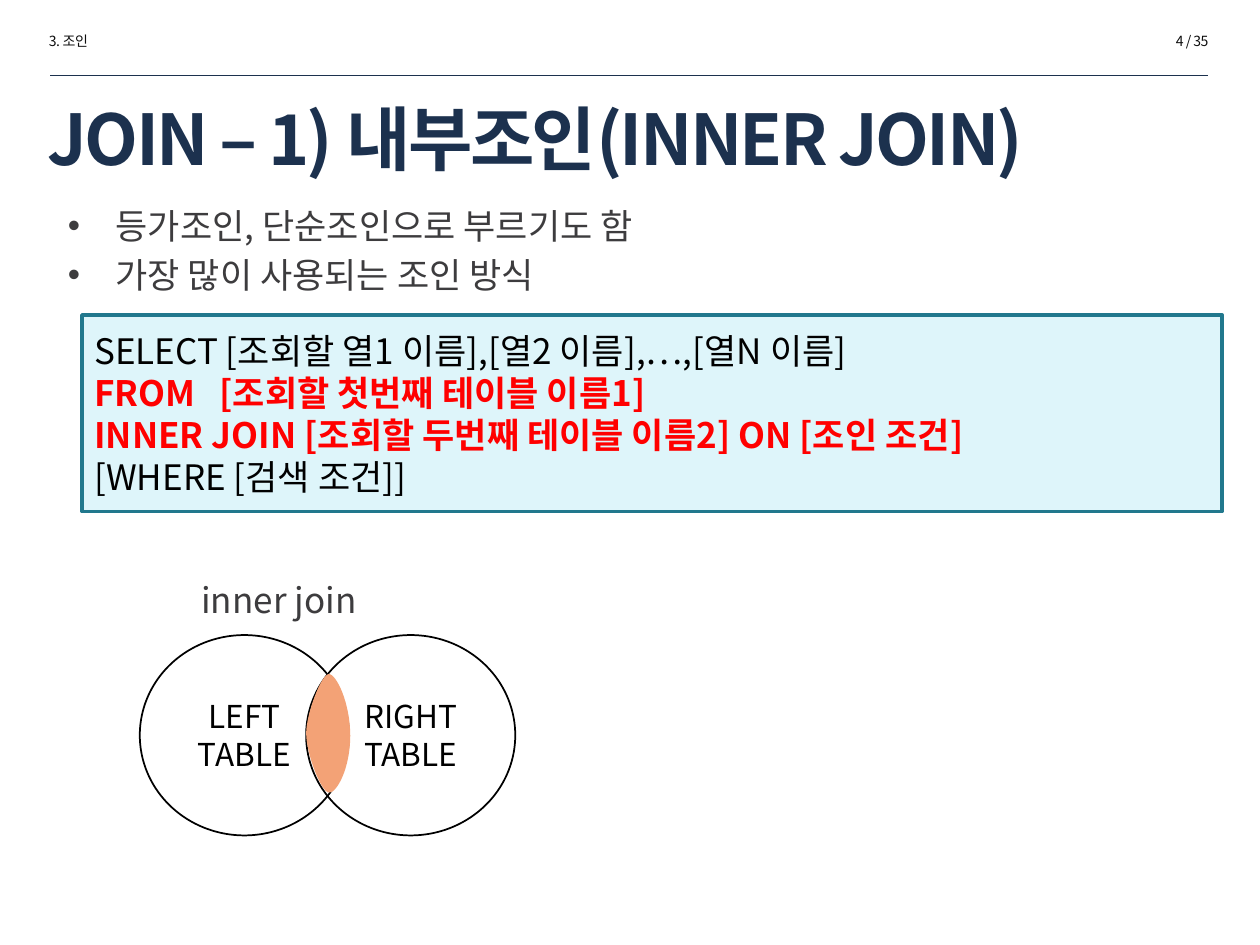
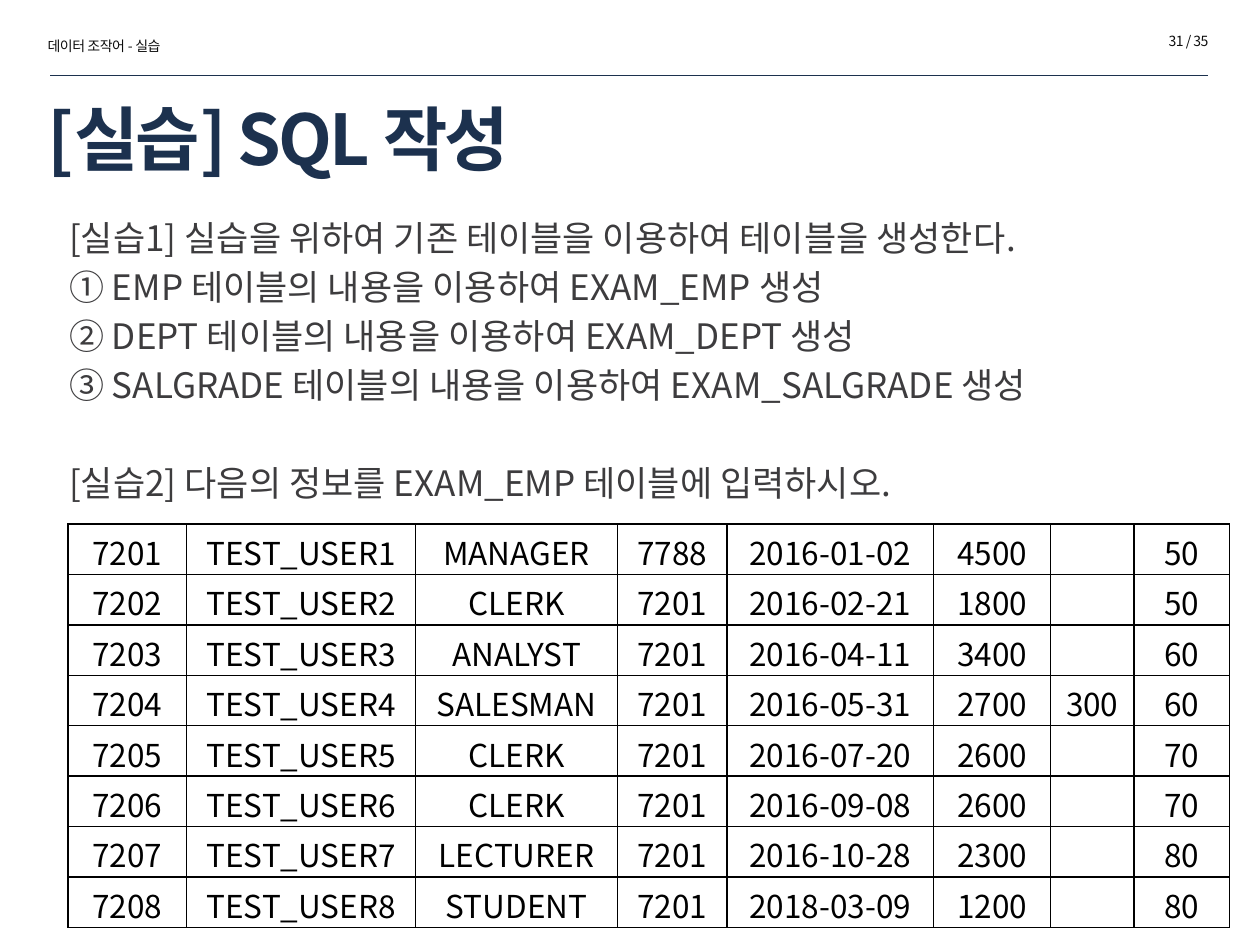
from lxml import etree
from pptx import Presentation
from pptx.dml.color import RGBColor
from pptx.enum.shapes import MSO_CONNECTOR, MSO_SHAPE
from pptx.enum.text import MSO_ANCHOR, PP_ALIGN
from pptx.oxml.ns import qn
from pptx.util import Pt

NAVY = RGBColor(0x1C, 0x31, 0x4E)
INK = RGBColor(0x0D, 0x0D, 0x0D)
GRAY = RGBColor(0x3D, 0x3C, 0x3E)
BLACK = RGBColor(0, 0, 0)
RED = RGBColor(0xFF, 0, 0)
TEAL = RGBColor(0x21, 0x78, 0x8D)
PALE_BLUE = RGBColor(0xDE, 0xF5, 0xFA)
ORANGE = RGBColor(0xF3, 0xA2, 0x76)

LEFT, CENTER, RIGHT = PP_ALIGN.LEFT, PP_ALIGN.CENTER, PP_ALIGN.RIGHT
TOP, MIDDLE, BOTTOM = MSO_ANCHOR.TOP, MSO_ANCHOR.MIDDLE, MSO_ANCHOR.BOTTOM
RECTANGLE, OVAL = MSO_SHAPE.RECTANGLE, MSO_SHAPE.OVAL
STRAIGHT = MSO_CONNECTOR.STRAIGHT

FONT = "Noto Sans CJK KR"
TITLE = {"size": Pt(40), "bold": True, "color": NAVY, "spacing": -150}
HEADER = {"size": Pt(8), "color": INK, "spacing": -30}
BODY = {"size": Pt(20), "color": GRAY}
CODE = {"size": Pt(20), "color": BLACK}
CODE_KEY = {"size": Pt(20), "color": RED, "bold": True}
LABEL = {"size": Pt(18), "color": BLACK}

LINE_RATIO = 1.2
BODY_GAP = 4
BLANK_LINE = 28
INDENT = 27.36

COLUMN_WIDTHS = [67.68, 131.04, 115.2, 62.64, 118.08, 66.96, 47.52, 54.72]
ROW_HEIGHT = 28.8
EMPLOYEES = [
    ["7201", "TEST_USER1", "MANAGER", "7788", "2016-01-02", "4500", "", "50"],
    ["7202", "TEST_USER2", "CLERK", "7201", "2016-02-21", "1800", "", "50"],
    ["7203", "TEST_USER3", "ANALYST", "7201", "2016-04-11", "3400", "", "60"],
    ["7204", "TEST_USER4", "SALESMAN", "7201", "2016-05-31", "2700", "300", "60"],
    ["7205", "TEST_USER5", "CLERK", "7201", "2016-07-20", "2600", "", "70"],
    ["7206", "TEST_USER6", "CLERK", "7201", "2016-09-08", "2600", "", "70"],
    ["7207", "TEST_USER7", "LECTURER", "7201", "2016-10-28", "2300", "", "80"],
    ["7208", "TEST_USER8", "STUDENT", "7201", "2018-03-09", "1200", "", "80"],
]

# Overlap outline: start point, then two control points and an end point per curve
LENS_START = (0, 33.84)
LENS_CURVES = [
    ((0, 23.04), (8.64, 0), (12.96, 0)),
    ((17.28, 0), (25.2, 16.56), (25.2, 35.28)),
    ((25.2, 54), (17.28, 68.4), (12.96, 67.68)),
    ((8.64, 67.68), (0, 45.36), LENS_START),
]


def points(*lengths):
    return [Pt(length) for length in lengths]


def format_run(run, style):
    font = run.font
    font.name = FONT
    for name, value in style.items():
        if name == "color":
            font.color.rgb = value
        elif name == "spacing":
            run._r.get_or_add_rPr().set("spc", str(value))
        else:
            setattr(font, name, value)
    east_asian = etree.SubElement(run._r.get_or_add_rPr(), qn("a:ea"))
    east_asian.set("typeface", FONT)


def write(frame, lines, anchor=TOP, align=LEFT, gap=0, fixed=True):
    """Fill a text frame with (text, style) lines, one paragraph each."""
    frame.word_wrap = True
    frame.vertical_anchor = anchor
    for index, (text, style) in enumerate(lines):
        paragraph = frame.add_paragraph() if index else frame.paragraphs[0]
        paragraph.alignment = align
        paragraph.space_before = Pt(gap if index else 0)
        if fixed:
            paragraph.line_spacing = Pt(style["size"].pt * LINE_RATIO)
        run = paragraph.add_run()
        run.text = text
        format_run(run, style)


def add_text(slide, box, lines, **options):
    shape = slide.shapes.add_textbox(*points(*box))
    write(shape.text_frame, lines, **options)
    return shape


def add_shape(slide, kind, box, line_color, line_width, fill=None):
    shape = slide.shapes.add_shape(kind, *points(*box))
    shape.shadow.inherit = False
    if fill is None:
        shape.fill.background()
    else:
        shape.fill.solid()
        shape.fill.fore_color.rgb = fill
    shape.line.color.rgb = line_color
    shape.line.width = Pt(line_width)
    return shape


def add_bullets(frame):
    for paragraph in frame.paragraphs:
        properties = paragraph._p.get_or_add_pPr()
        properties.set("marL", str(Pt(INDENT)))
        properties.set("indent", str(-Pt(INDENT)))
        etree.SubElement(properties, qn("a:buFont")).set("typeface", "Arial")
        etree.SubElement(properties, qn("a:buChar")).set("char", "•")


def add_page(presentation, title, title_width, section, section_box, page):
    """Title-only slide with its section label, page number and rule."""
    slide = presentation.slides.add_slide(presentation.slide_layouts[5])
    rule = slide.shapes.add_connector(STRAIGHT, *points(28.8, 43.2, 690.48, 43.2))
    rule.line.color.rgb = NAVY
    rule.line.width = Pt(0.25)
    etree.SubElement(rule._element.spPr, qn("a:effectLst"))

    heading = slide.shapes.title
    box = {"left": 20.16, "top": 55.44, "width": title_width, "height": 46.08}
    for name, value in box.items():
        setattr(heading, name, Pt(value))
    write(heading.text_frame, [(title, TITLE)], anchor=MIDDLE, fixed=False)

    add_text(slide, (573.12, 15.12, 124.56, 17.28), [(page, HEADER)], align=RIGHT, fixed=False)
    add_text(slide, section_box, [(section, HEADER)], fixed=False)
    return slide


def add_syntax(slide, box):
    panel = add_shape(slide, RECTANGLE, box, TEAL, 2, PALE_BLUE)
    write(panel.text_frame, [
        ("SELECT [조회할 열1 이름],[열2 이름],…,[열N 이름]", CODE),
        ("FROM   [조회할 첫번째 테이블 이름1]", CODE_KEY),
        ("INNER JOIN [조회할 두번째 테이블 이름2] ON [조인 조건]", CODE_KEY),
        ("[WHERE [검색 조건]]", CODE),
    ], anchor=MIDDLE)


def curve_point(start, first, second, end, t):
    weights = ((1 - t) ** 3, 3 * t * (1 - t) ** 2, 3 * t * t * (1 - t), t ** 3)
    corners = (start, first, second, end)
    return tuple(sum(w * corner[axis] for w, corner in zip(weights, corners)) for axis in (0, 1))


def add_lens(slide, left, top, steps=16):
    outline, start = [], LENS_START
    for first, second, end in LENS_CURVES:
        outline += [curve_point(start, first, second, end, i / steps) for i in range(1, steps + 1)]
        start = end
    placed = [(Pt(left + x), Pt(top + y)) for x, y in outline]
    builder = slide.shapes.build_freeform(*placed[-1])
    builder.add_line_segments(placed, close=True)
    lens = builder.convert_to_shape()
    lens.shadow.inherit = False
    lens.fill.solid()
    lens.fill.fore_color.rgb = ORANGE
    lens.line.fill.background()


def add_venn(slide, left, top):
    """Two overlapping tables with a caption above."""
    step, circle_top = 95.04, top + 36
    for index, side in enumerate(("LEFT", "RIGHT")):
        box = (left + index * step, circle_top, 119.52, 114.48)
        circle = add_shape(slide, OVAL, box, BLACK, 1)
        write(circle.text_frame, [(side, LABEL), ("TABLE", LABEL)], anchor=MIDDLE, align=CENTER)
    add_lens(slide, left + step, circle_top + 22.32)
    add_text(slide, (left + 28.08, top, 146.16, 29.52), [("inner join", BODY)])


def add_borders(cell):
    properties = cell._tc.get_or_add_tcPr()
    for index, side in enumerate(("lnL", "lnR", "lnT", "lnB")):
        border = etree.Element(qn("a:" + side), w=str(Pt(1)))
        fill = etree.SubElement(border, qn("a:solidFill"))
        etree.SubElement(fill, qn("a:srgbClr")).set("val", str(BLACK))
        properties.insert(index, border)


def add_employee_table(slide, left, top):
    size = (sum(COLUMN_WIDTHS), ROW_HEIGHT * len(EMPLOYEES))
    frame = slide.shapes.add_table(
        len(EMPLOYEES), len(COLUMN_WIDTHS), *points(left, top, *size))
    table = frame.table
    table.first_row = table.horz_banding = False
    for column, width in zip(table.columns, COLUMN_WIDTHS):
        column.width = Pt(width)
    for row, values in zip(table.rows, EMPLOYEES):
        row.height = Pt(ROW_HEIGHT)
        for cell, value in zip(row.cells, values):
            cell.fill.background()
            cell.margin_top = cell.margin_bottom = 0
            cell.vertical_anchor = BOTTOM
            add_borders(cell)
            paragraph = cell.text_frame.paragraphs[0]
            paragraph.alignment = CENTER
            if value:
                run = paragraph.add_run()
                run.text = value
                format_run(run, LABEL)


def build_inner_join(presentation):
    slide = add_page(presentation, "JOIN – 1) 내부조인(INNER JOIN)", 670.32,
                     "3. 조인", (20.88, 15.12, 124.56, 17.28), "4 / 35")
    notes = add_text(slide, (31.68, 113.04, 666.72, 119.52), [
        ("등가조인, 단순조인으로 부르기도 함", BODY),
        ("가장 많이 사용되는 조인 방식", BODY),
    ], gap=BODY_GAP)
    add_bullets(notes.text_frame)
    add_syntax(slide, (46.8, 180, 651.6, 112.32))
    add_venn(slide, 79.92, 326.88)


def build_practice(presentation):
    slide = add_page(presentation, "[실습] SQL 작성", 550.8,
                     "데이터 조작어 - 실습", (20.16, 18, 124.56, 17.28), "31 / 35")
    tasks = add_text(slide, (32.4, 120.24, 666.72, 349.92), [
        ("[실습1] 실습을 위하여 기존 테이블을 이용하여 테이블을 생성한다.", BODY),
        ("① EMP 테이블의 내용을 이용하여 EXAM_EMP 생성", BODY),
        ("② DEPT 테이블의 내용을 이용하여 EXAM_DEPT 생성", BODY),
        ("③ SALGRADE 테이블의 내용을 이용하여 EXAM_SALGRADE 생성", BODY),
        ("[실습2] 다음의 정보를 EXAM_EMP 테이블에 입력하시오.", BODY),
    ], gap=BODY_GAP)
    tasks.text_frame.paragraphs[-1].space_before = Pt(BODY_GAP + BLANK_LINE)
    add_employee_table(slide, 38.88, 299.52)


def main():
    presentation = Presentation()
    presentation.slide_width, presentation.slide_height = points(720, 540)
    build_inner_join(presentation)
    build_practice(presentation)
    presentation.save("out.pptx")


if __name__ == "__main__":
    main()
